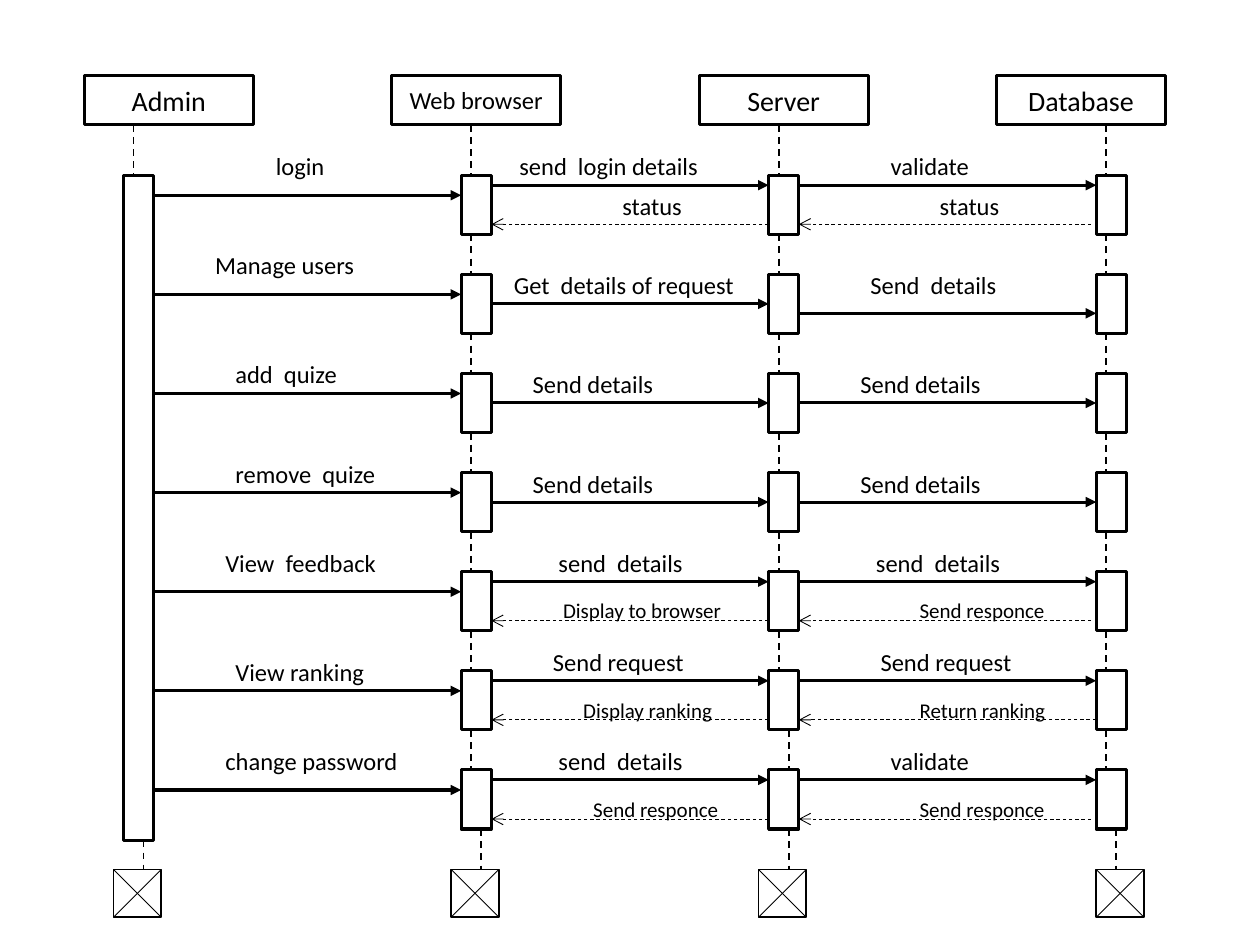
from dataclasses import dataclass

from lxml import etree
from pptx import Presentation
from pptx.dml.color import RGBColor
from pptx.enum.dml import MSO_LINE
from pptx.enum.shapes import MSO_CONNECTOR, MSO_SHAPE
from pptx.enum.text import MSO_ANCHOR, MSO_AUTO_SIZE, PP_ALIGN
from pptx.oxml.ns import qn
from pptx.util import Inches, Pt

RECT = MSO_SHAPE.RECTANGLE
STRAIGHT = MSO_CONNECTOR.STRAIGHT
DASH = MSO_LINE.DASH
CENTER = PP_ALIGN.CENTER
LEFT = PP_ALIGN.LEFT
MIDDLE = MSO_ANCHOR.MIDDLE
GROW = MSO_AUTO_SIZE.SHAPE_TO_FIT_TEXT

FONT = "Calibri"
BLACK = "000000"
WHITE = "FFFFFF"
TOP = 1.39
ROWS = 7
PITCH = (6.11 - TOP) / (ROWS - 1)
BAR_W, BAR_H = 0.24, 0.47
HEAD_Y, HEAD_W, HEAD_H = 0.6, 1.34, 0.39
END_Y, END_W = 6.9, 0.38
MID = BAR_H / 2
RIGHT_SIDE, LEFT_SIDE = 3, 1


@dataclass
class Lane:
    name: str
    head: float
    bar: float
    size: int = 16


@dataclass
class Call:
    row: int
    lane: int
    drop: float
    words: str
    left: float
    rise: float
    width: float


@dataclass
class Reply:
    row: int
    lane: int
    words: str
    left: float
    width: float
    size: int = 12
    rise: float = 0.16
    gap: float = 0


LANES = [
    Lane("Admin", 0.67, 0.98),
    Lane("Web browser", 3.11, 3.66, 14),
    Lane("Server", 5.55, 6.1),
    Lane("Database", 7.91, 8.7),
]

CALLS = [
    Call(0, 0, 0.16, "login", 2.09, -0.24, 0.79),
    Call(0, 1, 0.08, " send  login details", 3.98, -0.24, 1.97),
    Call(0, 2, 0.08, "validate", 6.97, -0.24, 1.02),
    Call(1, 0, 0.16, "Manage users", 1.61, -0.24, 1.57),
    Call(1, 1, MID, "Get  details of request", 3.98, -0.08, 2.05),
    Call(1, 2, 0.31, "Send  details", 6.81, -0.08, 1.26),
    Call(2, 0, 0.16, "add  quize", 1.77, -0.16, 1.26),
    Call(2, 1, MID, "Send details", 4.13, -0.08, 1.26),
    Call(2, 2, MID, "Send details", 6.73, -0.08, 1.26),
    Call(3, 0, 0.16, "remove  quize", 1.77, -0.16, 1.5),
    Call(3, 1, MID, "Send details", 4.13, -0.08, 1.26),
    Call(3, 2, MID, "Send details", 6.73, -0.08, 1.26),
    Call(4, 0, 0.16, "View  feedback", 1.69, -0.24, 1.73),
    Call(4, 1, 0.08, " send  details", 4.29, -0.24, 1.57),
    Call(4, 2, 0.08, " send  details", 6.81, -0.24, 1.57),
    Call(5, 0, 0.16, "View ranking", 1.77, -0.16, 1.26),
    Call(5, 1, 0.08, "Send request", 4.29, -0.24, 1.26),
    Call(5, 2, 0.08, "Send request", 6.89, -0.24, 1.26),
    Call(6, 0, 0.16, "change password", 1.69, -0.24, 1.73),
    Call(6, 1, 0.08, " send  details", 4.29, -0.24, 1.57),
    Call(6, 2, 0.08, "validate", 6.97, -0.24, 1.02),
]

REPLIES = [
    Reply(0, 1, "status", 4.84, 1.02, 14, 0.08),
    Reply(0, 2, "status", 7.36, 1.02, 14, 0.08, gap=0.04),
    Reply(4, 1, "Display to browser", 4.37, 1.65),
    Reply(4, 2, "Send responce", 7.2, 1.42, gap=0.04),
    Reply(5, 1, "Display ranking", 4.53, 1.5),
    Reply(5, 2, "Return ranking", 7.2, 1.26),
    Reply(6, 1, "Send responce", 4.61, 1.42),
    Reply(6, 2, "Send responce", 7.2, 1.42, gap=0.04),
]


def color(code: str) -> RGBColor:
    return RGBColor.from_string(code)


def row_top(row: int) -> float:
    return TOP + row * PITCH


def write(shape, words: str, *, size: int = 14, align=LEFT) -> None:
    para = shape.text_frame.paragraphs[0]
    para.alignment = align
    run = para.add_run()
    run.text = words
    run.font.name = FONT
    run.font.size = Pt(size)
    run.font.color.rgb = color(BLACK)


def box(slide, x: float, y: float, w: float, h: float, *, weight: float = 1.75, fill: str = ""):
    shape = slide.shapes.add_shape(RECT, Inches(x), Inches(y), Inches(w), Inches(h))
    shape.shadow.inherit = False
    if fill:
        shape.fill.solid()
        shape.fill.fore_color.rgb = color(fill)
    else:
        shape.fill.background()
    shape.line.color.rgb = color(BLACK)
    shape.line.width = Pt(weight)
    return shape


def line(slide, x1: float, y1: float, x2: float, y2: float, *,
         weight: float = 1, dash: bool = False, tip: str = ""):
    link = slide.shapes.add_connector(STRAIGHT, Inches(x1), Inches(y1), Inches(x2), Inches(y2))
    link.line.color.rgb = color(BLACK)
    link.line.width = Pt(weight)
    if dash:
        link.line.dash_style = DASH
    props = link._element.spPr
    if tip:
        etree.SubElement(props.find(qn("a:ln")), qn("a:tailEnd"), type=tip)
    etree.SubElement(props, qn("a:effectLst"))
    return link


def label(slide, words: str, x: float, y: float, w: float, size: int = 14) -> None:
    high = 0.34 if size == 14 else 0.3
    note = slide.shapes.add_textbox(Inches(x), Inches(y), Inches(w), Inches(high))
    note.text_frame.word_wrap = True
    note.text_frame.auto_size = GROW
    write(note, words, size=size)


def draw_lane(slide, lane: Lane) -> list:
    head = box(slide, lane.head, HEAD_Y, HEAD_W, HEAD_H)
    head.text_frame.vertical_anchor = MIDDLE
    write(head, lane.name, size=lane.size, align=CENTER)
    thread = lane.bar + 0.08
    line(slide, thread, HEAD_Y + HEAD_H, thread, TOP, dash=True)
    if lane.name == "Admin":
        spans = [(TOP, 5.28)]
    else:
        spans = [(row_top(row), BAR_H) for row in range(ROWS)]
    bars = [box(slide, lane.bar, top, BAR_W, high) for top, high in spans]
    for row in range(1, len(spans)):
        shift = 0.08 if lane.name == "Server" and row == ROWS - 1 else 0
        line(slide, thread + shift, row_top(row - 1) + BAR_H,
             thread + shift, row_top(row), dash=True)
    line(slide, lane.bar + 0.16, sum(spans[-1]), lane.bar + 0.16, END_Y, dash=True)
    left = lane.bar if lane.name == "Database" else lane.bar - 0.08
    box(slide, left, END_Y, END_W, END_W, weight=1, fill=WHITE)
    line(slide, left, END_Y, left + END_W, END_Y + END_W, weight=0.5)
    line(slide, left + END_W, END_Y, left, END_Y + END_W, weight=0.5)
    return bars


def draw_call(slide, call: Call, bars: list) -> None:
    top = row_top(call.row)
    y = top + call.drop
    link = line(slide, LANES[call.lane].bar + BAR_W, y, LANES[call.lane + 1].bar, y,
                weight=1.75, tip="triangle")
    if call.drop == MID:
        link.begin_connect(bars[call.lane][call.row], RIGHT_SIDE)
        link.end_connect(bars[call.lane + 1][call.row], LEFT_SIDE)
    label(slide, call.words, call.left, top + call.rise, call.width)


def draw_reply(slide, reply: Reply) -> None:
    top = row_top(reply.row)
    y = top + 0.39
    line(slide, LANES[reply.lane + 1].bar - reply.gap, y, LANES[reply.lane].bar + BAR_W, y,
         weight=0.5, dash=True, tip="arrow")
    label(slide, reply.words, reply.left, top + reply.rise, reply.width, reply.size)


def main() -> None:
    deck = Presentation()
    deck.slide_width, deck.slide_height = Inches(10), Inches(7.5)
    slide = deck.slides.add_slide(deck.slide_layouts[6])
    bars = [draw_lane(slide, lane) for lane in LANES]
    for call in CALLS:
        draw_call(slide, call, bars)
    for reply in REPLIES:
        draw_reply(slide, reply)
    deck.save("out.pptx")


if __name__ == "__main__":
    main()
